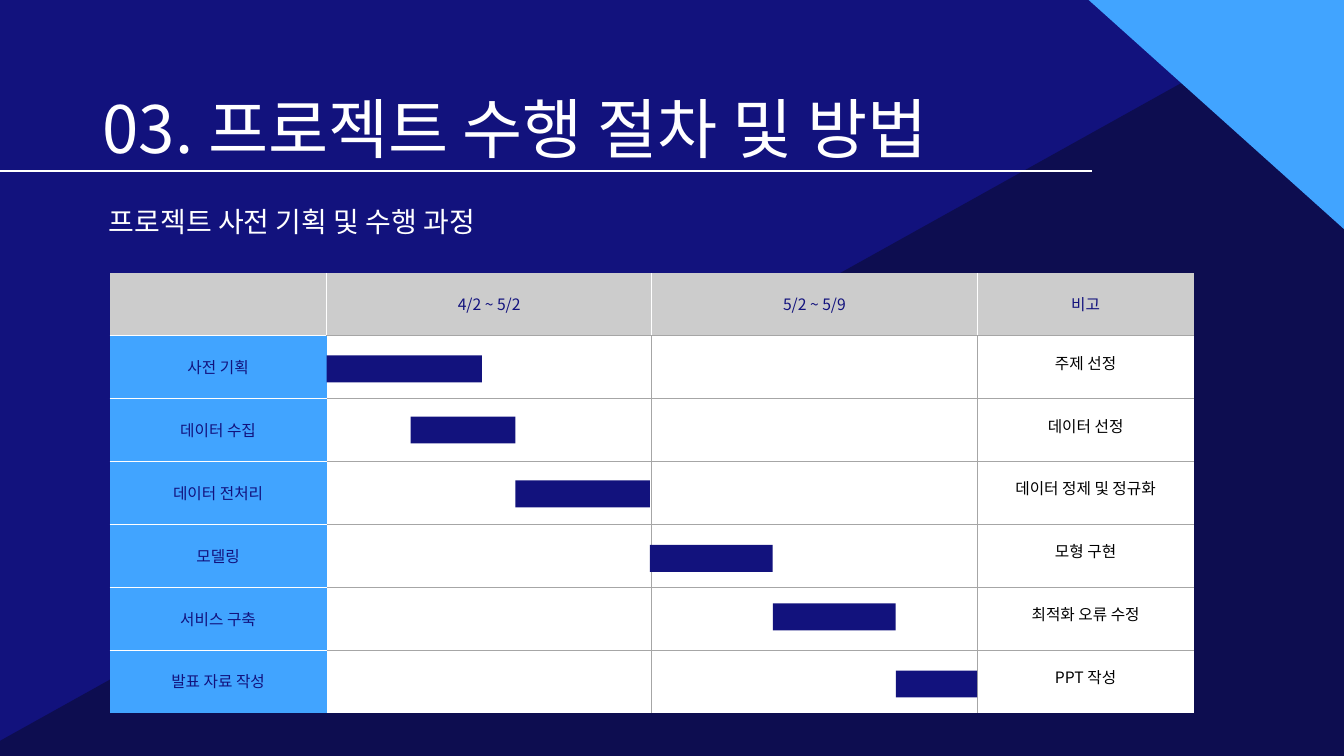
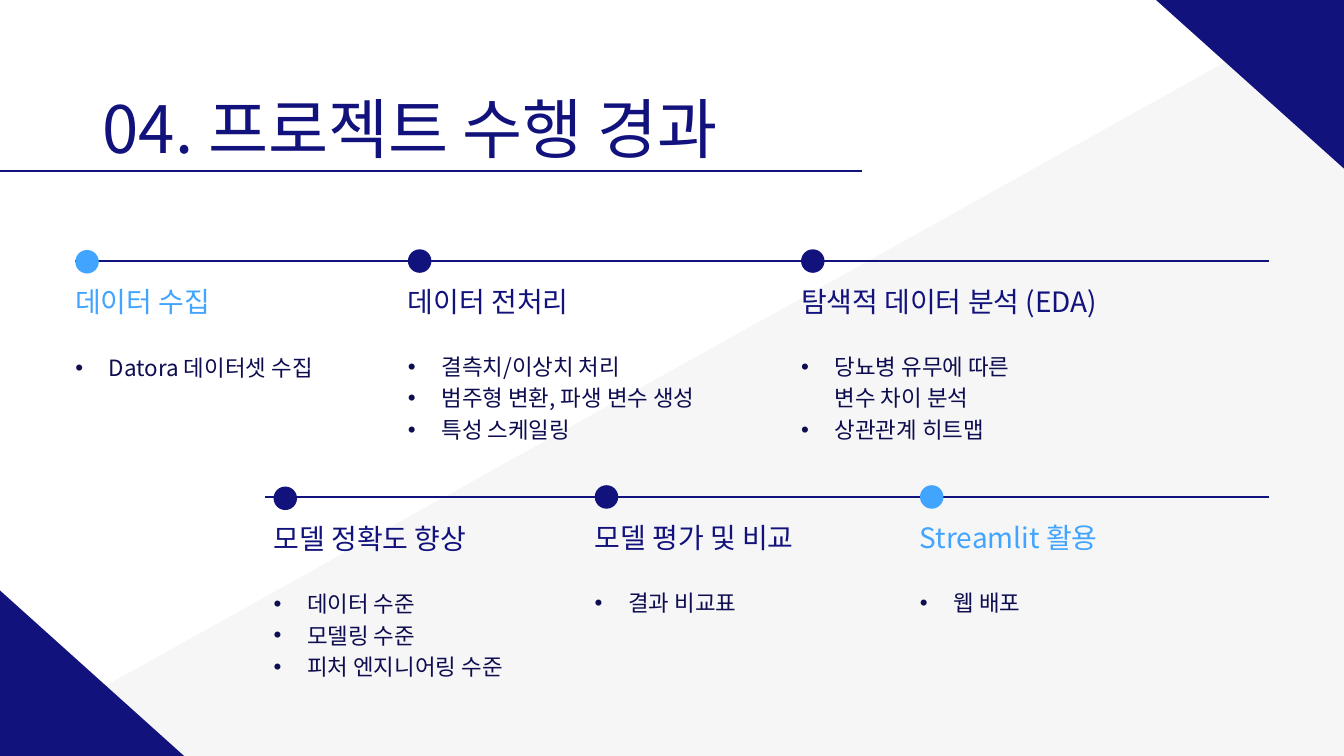
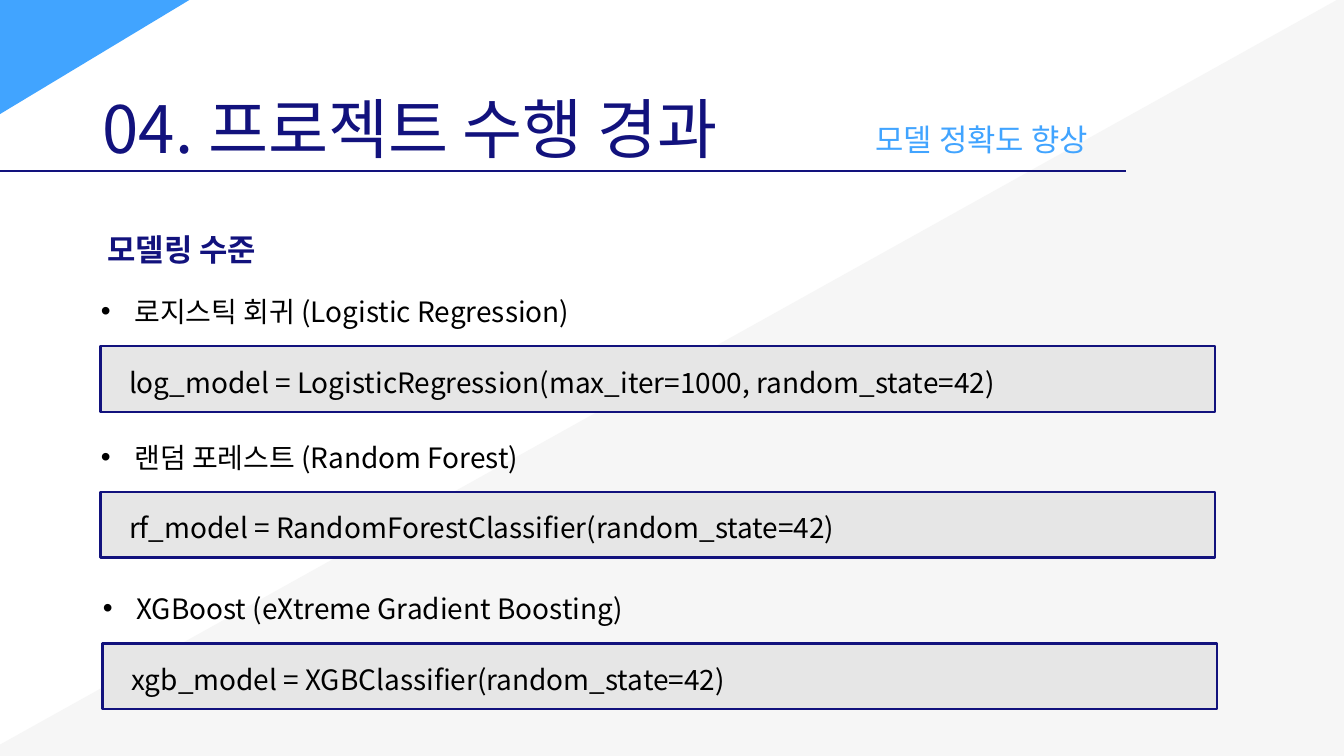
from lxml import etree
from pptx import Presentation
from pptx import util as u
from pptx.dml.color import RGBColor
from pptx.enum import shapes, text
from pptx.oxml.ns import qn

PX = 9144  # 100 px to the inch
FONT = "Noto Sans CJK KR"
INK = {"navy": "12127D", "night": "0D0D50", "sky": "41A4FF", "white": "FFFFFF",
       "mist": "F6F6F6", "head": "CCCCCC", "grid": "A6A6A6", "code": "E6E6E6",
       "black": "000000"}
RGB = {name: RGBColor.from_string(code) for name, code in INK.items()}


def write(lines, page=None, box=None, frame=None, size=30, ink="navy", lead=None,
          bold=False, align=None, dots=False):
    """Fill a given frame, or a new text box, with one paragraph per line."""
    if frame is None:
        frame = page.shapes.add_textbox(*[PX * v for v in box]).text_frame
        frame.margin_left = frame.margin_right = 0
        frame.margin_top = frame.margin_bottom = 0
    frame.word_wrap = True
    for i, line in enumerate(lines.split("\n")):
        para = frame.add_paragraph() if i else frame.paragraphs[0]
        para.alignment = align
        if lead:
            para.line_spacing = u.Pt(lead)
        if dots:
            props = para._p.get_or_add_pPr()
            props.set("marL", str(50 * PX))
            props.set("indent", str(-50 * PX))
            etree.SubElement(props, qn("a:buFont")).set("typeface", "Arial")
            etree.SubElement(props, qn("a:buChar")).set("char", "•")
        run = para.add_run()
        run.text = line
        run.font.size = u.Pt(size)
        run.font.bold = bold
        run.font.color.rgb = RGB[ink]
        run.font.name = FONT
        etree.SubElement(run.font._element, qn("a:ea")).set("typeface", FONT)


def block(page, kind, box, fill, edge=None):
    form = page.shapes.add_shape(kind, *[PX * v for v in box])
    form.shadow.inherit = False
    form.fill.solid()
    form.fill.fore_color.rgb = RGB[fill]
    if edge:
        form.line.color.rgb = RGB[edge]
        form.line.width = u.Pt(3)
    else:
        form.line.fill.background()


deck = Presentation()
deck.slide_width, deck.slide_height = 2000 * PX, 1125 * PX

# Shared look: background, slanted bands, title and rules
BAND = [(675, 2522), (-86, 1156), (2045, -31), (2805, 1335)]
looks = [
    {"back": "navy", "ink": "white", "title": "03. 프로젝트 수행 절차 및 방법",
     "bands": [("night", [(672, 2518), (-89, 1152), (2041, -34), (2802, 1332)]),
               ("sky", [(2420, -32), (2047, 383), (1580, -36), (1953, -451)])],
     "rules": [(-183, 1625, 255)]},
    {"back": "white", "ink": "navy", "title": "04. 프로젝트 수행 경과",
     "bands": [("mist", BAND),
               ("navy", [(2508, -43), (2135, 372), (1669, -46), (2041, -462)]),
               ("navy", [(394, 1233), (22, 1648), (-445, 1230), (-72, 814)])],
     "rules": [(-183, 1283, 255), (112, 1888, 388), (394, 1888, 739)]},
    {"back": "white", "ink": "navy", "title": "04. 프로젝트 수행 경과",
     "bands": [("mist", BAND),
               ("sky", [(373, -55), (-105, 233), (-429, -303), (49, -591)])],
     "rules": [(-183, 1675, 255)]},
]
pages = []
for look in looks:
    page = deck.slides.add_slide(deck.slide_layouts[6])
    pages.append(page)
    page.background.fill.solid()
    page.background.fill.fore_color.rgb = RGB[look["back"]]
    for fill, dots in look["bands"]:
        path = page.shapes.build_freeform(*dots[0], scale=PX)
        path.add_line_segments(dots[1:], close=True)
        band = path.convert_to_shape()
        band.shadow.inherit = False
        band.fill.solid()
        band.fill.fore_color.rgb = RGB[fill]
        band.line.fill.background()
    for left, right, y in look["rules"]:
        rule = page.shapes.add_connector(shapes.MSO_CONNECTOR.STRAIGHT,
                                         PX * left, PX * y, PX * right, PX * y)
        rule.line.color.rgb = RGB[look["ink"]]
        rule.line.width = u.Pt(2.25)
        etree.SubElement(rule._element.spPr, qn("a:effectLst"))
    write(look["title"], page, (153, 114, 1488, 128), size=70, ink=look["ink"], lead=96)

plan, steps, model = pages
RECT, OVAL = shapes.MSO_SHAPE.RECTANGLE, shapes.MSO_SHAPE.OVAL

# Schedule: table
write("프로젝트 사전 기획 및 수행 과정", plan, (162, 296, 1362, 56), ink="white", lead=42)
rows = [("", "4/2 ~ 5/2", "5/2 ~ 5/9", "비고"),
        ("사전 기획", "", "", "주제 선정"),
        ("데이터 수집", "", "", "데이터 선정"),
        ("데이터 전처리", "", "", "데이터 정제 및 정규화"),
        ("모델링", "", "", "모형 구현"),
        ("서비스 구축", "", "", "최적화 오류 수정"),
        ("발표 자료 작성", "", "", "PPT 작성")]
table = plan.shapes.add_table(7, 4, 163 * PX, 406 * PX, 1614 * PX, 655 * PX).table
table.first_row = table.horz_banding = False
plain = "{2D5ABB26-0587-4C30-8999-92F81FD0307C}"  # no style, no grid
table._tbl.tblPr.find(qn("a:tableStyleId")).text = plain
for col, wide in zip(table.columns, (323, 484, 484, 323)):
    col.width = wide * PX
for r, row in enumerate(rows):
    table.rows[r].height = 655 * PX // 7
    for c, word in enumerate(row):
        cell = table.cell(r, c)
        cell.margin_left = cell.margin_right = 13 * PX
        cell.margin_top = cell.margin_bottom = 13 * PX
        cell.vertical_anchor = text.MSO_ANCHOR.MIDDLE
        # Inner grid only; the first column has no side line below the header
        flat = "white" if c == 0 else "grid"
        side = "white" if r == 0 else "grid"
        edges = {"lnL": side if c > (r > 0) else None,
                 "lnR": side if c < 3 and (r == 0 or c > 0) else None,
                 "lnT": flat if r > 0 else None,
                 "lnB": flat if r < 6 else None}
        for tag, ink in edges.items():
            if ink:
                line = etree.SubElement(cell._tc.get_or_add_tcPr(), qn("a:" + tag), w="12700")
                fill = etree.SubElement(line, qn("a:solidFill"))
                etree.SubElement(fill, qn("a:srgbClr")).set("val", INK[ink])
        cell.fill.solid()
        cell.fill.fore_color.rgb = RGB["head" if r == 0 else "sky" if c == 0 else "white"]
        if word:
            note = r > 0 and c == 3
            write(word, frame=cell.text_frame, size=16.8, ink="black" if note else "navy",
                  lead=14.1 if note else 23.5, align=text.PP_ALIGN.CENTER)

# Schedule: bars
for x, y, wide in [(486, 529, 231), (611, 620, 156), (767, 715, 200),
                   (967, 811, 183), (1150, 898, 183), (1333, 998, 121)]:
    block(plan, RECT, (x, y, wide, 40), "navy")

# Timeline: dot, heading and bullets for each step
for x, y, ink, head, wide, body, span in [
        (112, 372, "sky", "데이터 수집", 348, "Datora 데이터셋 수집", 379),
        (607, 371, "navy", "데이터 전처리", 348,
         "결측치/이상치 처리\n범주형 변환, 파생 변수 생성\n특성 스케일링", 485),
        (1192, 371, "navy", "탐색적 데이터 분석 (EDA)", 633,
         "당뇨병 유무에 따른 변수 차이 분석\n상관관계 히트맵", 348),
        (407, 724, "navy", "모델 정확도 향상", 348,
         "데이터 수준\n모델링 수준\n피처 엔지니어링 수준", 348),
        (885, 722, "navy", "모델 평가 및 비교", 348, "결과 비교표", 348),
        (1369, 722, "sky", "Streamlit 활용", 473, "웹 배포", 348)]:
    block(steps, OVAL, (x, y, 35, 35), ink)
    write(head, steps, (x, y + 52, wide, 51), ink=ink, lead=36)
    high = 45 if span == 379 or "\n" not in body else 140
    write(body, steps, (x, y + 148, span, high), size=24, ink="night", lead=33.6, dots=True)

# Models: name and code box
write("모델 정확도 향상", model, (1303, 188, 397, 48), size=33, ink="sky", lead=33.6)
write("모델링 수준", model, (160, 344, 1280, 56), size=33, bold=True)
for x, y, name, code in [
        (150, 515, "로지스틱 회귀 (Logistic Regression)",
         "log_model = LogisticRegression(max_iter=1000, random_state=42)"),
        (150, 732, "랜덤 포레스트 (Random Forest)",
         "rf_model = RandomForestClassifier(random_state=42)"),
        (153, 957, "XGBoost (eXtreme Gradient Boosting)",
         "xgb_model = XGBClassifier(random_state=42)")]:
    write(name, model, (x, y - 77, 800, 50), ink="black", dots=True)
    block(model, RECT, (x, y, 1658, 98), "code", edge="navy")
    write(code, model, (x + 42, y + 20, 1573, 56), ink="black", lead=42)

deck.save("out.pptx")
